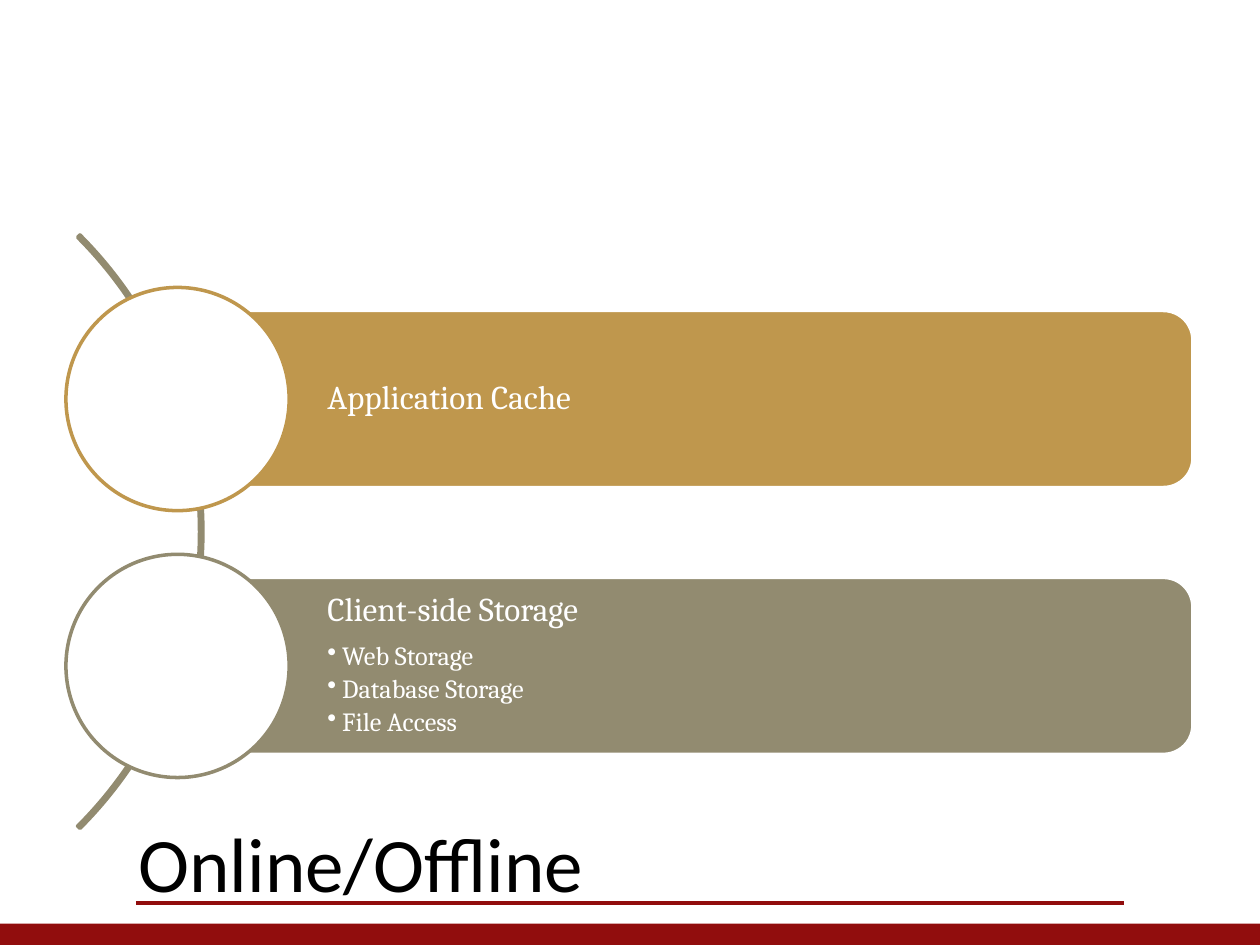
from lxml.etree import SubElement
from pptx import Presentation
from pptx.dml.color import RGBColor
from pptx.enum.shapes import MSO_CONNECTOR, MSO_SHAPE as SHAPE
from pptx.enum.text import MSO_ANCHOR as ANCHOR, MSO_AUTO_SIZE, PP_ALIGN
from pptx.oxml.ns import qn
from pptx.util import Cm, Pt

RED = RGBColor(0x91, 0x0D, 0x0D)
GOLD = RGBColor(0xBF, 0x97, 0x4D)
OLIVE = RGBColor(0x92, 0x8B, 0x70)
WHITE = RGBColor(0xFF, 0xFF, 0xFF)
BLACK = RGBColor(0, 0, 0)

# Content
TITLE = "Online/Offline"
TOPICS = [
    ("Application Cache", [], GOLD, ANCHOR.MIDDLE),
    ("Client-side Storage", ["Web Storage", "Database Storage", "File Access"],
     OLIVE, ANCHOR.TOP),
]
HEADING = {"size": Pt(19), "name": "Cambria"}
ITEM = {"size": Pt(15), "name": "Cambria"}

# Geometry in cm
BAR_X, BAR_Y, BAR_W, BAR_H = 3.58, 6.26, 20.47, 3.57
PITCH = 5.38
CIRCLE = 4.5
PAD = 0.18
INDENT = 0.3

prs = Presentation()
prs.slide_width, prs.slide_height = Cm(25.4), Cm(19.05)
s = prs.slides.add_slide(prs.slide_layouts[5])


def add_shape(kind, x, y, w, h, fill=None, line=None):
    sp = s.shapes.add_shape(kind, Cm(x), Cm(y), Cm(w), Cm(h))
    sp.shadow.inherit = False
    for part, color in ((sp.fill, fill), (sp.line.fill, line)):
        if color is None:
            part.background()
        else:
            part.solid()
            part.fore_color.rgb = color
    if line is not None:
        sp.line.width = Pt(2)
    return sp


def add_text(p, text, font, color):
    r = p.add_run()
    r.text = text
    r.font.color.rgb = color
    for key, value in font.items():
        setattr(r.font, key, value)


def add_bullet(p):
    p.level = 1
    pPr = p._p.get_or_add_pPr()
    pPr.set("marL", str(Cm(INDENT)))
    pPr.set("indent", str(-Cm(INDENT)))
    SubElement(pPr, qn("a:buChar")).set("char", "•")


# Footer band and rule
add_shape(SHAPE.RECTANGLE, 0, 18.62, 25.4, 0.43, RED)
rule = s.shapes.add_connector(
    MSO_CONNECTOR.STRAIGHT, Cm(2.74), Cm(18.21), Cm(22.66), Cm(18.21))
rule.line.color.rgb = RED
rule.line.width = Pt(2.25)
SubElement(rule._element.spPr, qn("a:effectLst"))

# Title
title = s.shapes.title
title.left, title.top, title.width, title.height = (
    Cm(2.54), Cm(15.24), Cm(20.32), Cm(3.18))
tf = title.text_frame
tf.auto_size = MSO_AUTO_SIZE.NONE
tf.vertical_anchor = ANCHOR.BOTTOM
tf.paragraphs[0].alignment = PP_ALIGN.LEFT
add_text(tf.paragraphs[0], TITLE, {"size": Pt(44), "name": "Calibri"}, BLACK)

# Arc behind the topics
arc = add_shape(SHAPE.BLOCK_ARC, -12.83, 2.26, 16.92, 16.92, line=OLIVE)
for i, value in enumerate((189, 27, 0.004)):
    arc.adjustments[i] = value

# Topics: bar, text and circle
for i, (heading, items, color, anchor) in enumerate(TOPICS):
    y = BAR_Y + i * PITCH
    add_shape(SHAPE.ROUNDED_RECTANGLE, BAR_X, y, BAR_W, BAR_H, color, WHITE)

    box = s.shapes.add_textbox(Cm(BAR_X + PAD), Cm(y + PAD),
                               Cm(BAR_W - 2 * PAD), Cm(BAR_H - 2 * PAD))
    tf = box.text_frame
    tf.word_wrap = True
    tf.vertical_anchor = anchor
    tf.margin_left = Cm(2.84)
    tf.margin_top = tf.margin_right = tf.margin_bottom = Cm(0.13)
    p = tf.paragraphs[0]
    p.line_spacing, p.space_after = 0.9, Pt(8)
    add_text(p, heading, HEADING, WHITE)
    for item in items:
        p = tf.add_paragraph()
        p.line_spacing, p.space_after = 0.9, Pt(2.7)
        add_bullet(p)
        add_text(p, item, ITEM, WHITE)

    add_shape(SHAPE.OVAL, BAR_X - CIRCLE / 2, y + (BAR_H - CIRCLE) / 2,
              CIRCLE, CIRCLE, WHITE, color)

prs.save("out.pptx")
